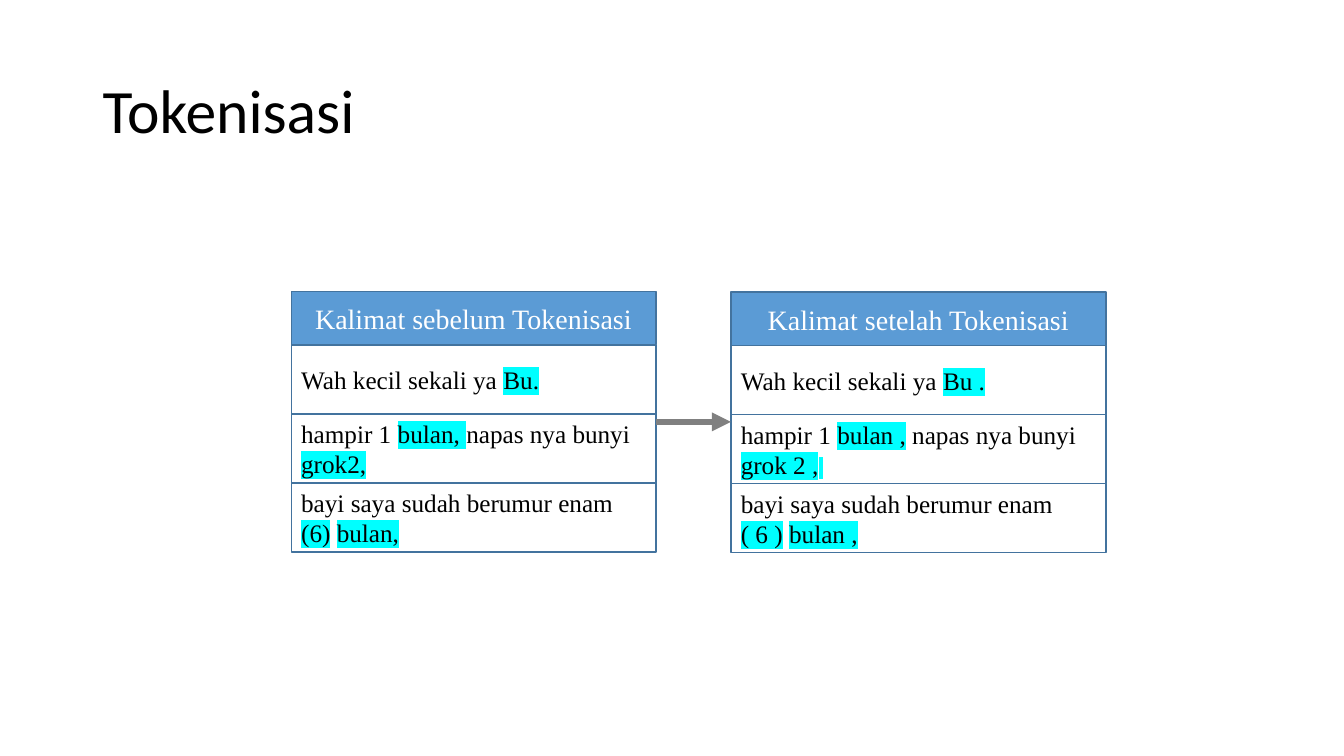
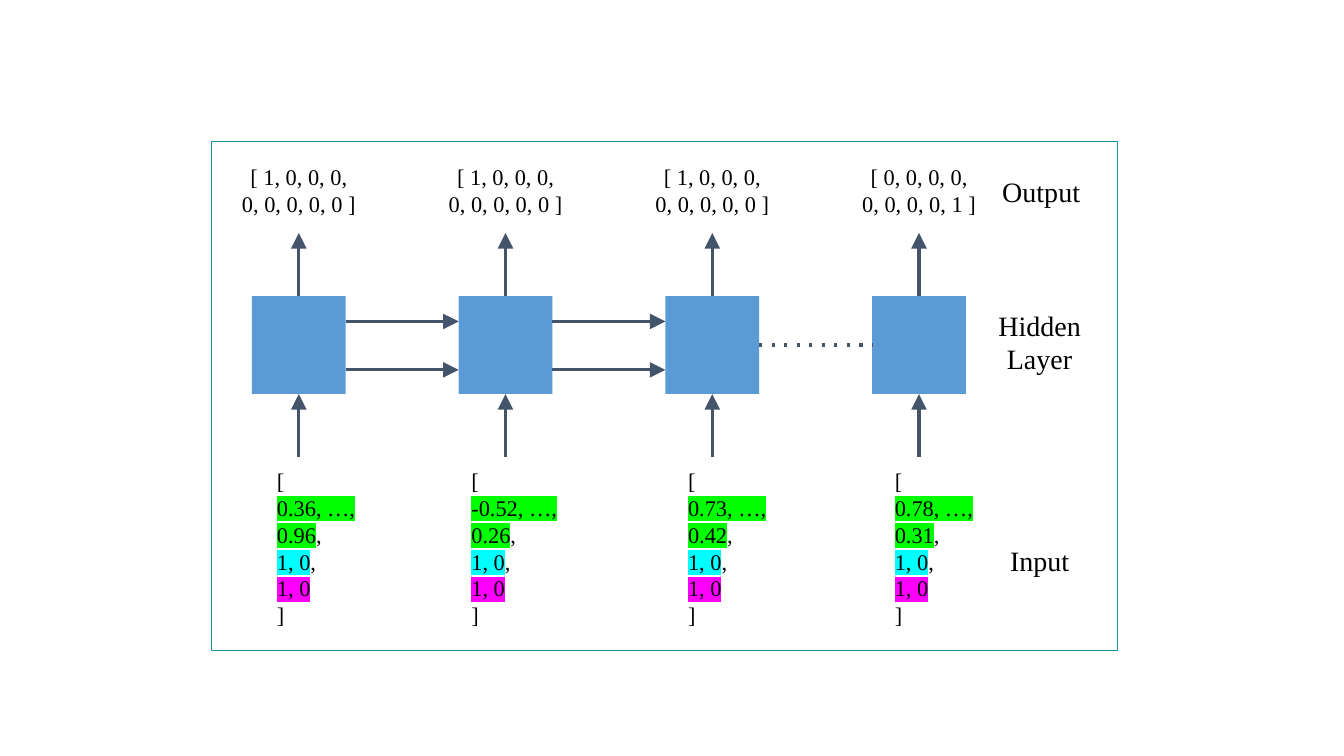
from lxml import etree
from pptx import Presentation
from pptx.dml.color import RGBColor
from pptx.enum.shapes import MSO_CONNECTOR, MSO_SHAPE
from pptx.enum.text import MSO_ANCHOR as ANCHOR, PP_ALIGN as ALIGN
from pptx.oxml.ns import qn
from pptx.util import Cm, Pt

BLACK = RGBColor(0x00, 0x00, 0x00)
WHITE = RGBColor(0xFF, 0xFF, 0xFF)
BLUE = RGBColor(0x5B, 0x9B, 0xD5)
BORDER = RGBColor(0x43, 0x73, 0x9E)
GRAY = RGBColor(0x80, 0x80, 0x80)
SLATE = RGBColor(0x44, 0x54, 0x6A)
TEAL = RGBColor(0x16, 0x95, 0xA4)
CYAN = RGBColor(0x00, 0xFF, 0xFF)
GREEN = RGBColor(0x00, 0xFF, 0x00)
MAGENTA = RGBColor(0xFF, 0x00, 0xFF)
SERIF = "Times New Roman"


def write(tf, paragraphs, size, align=ALIGN.LEFT, color=BLACK):
    """Fill a text frame; a run is (text, highlight or None[, size])."""
    tf.word_wrap = True
    for i, runs in enumerate(paragraphs):
        p = tf.paragraphs[0] if i == 0 else tf.add_paragraph()
        p.alignment = align
        for text, mark, *own_size in runs:
            r = p.add_run()
            r.text = text
            r.font.size = Pt(own_size[0] if own_size else size)
            r.font.color.rgb = color
            r.font.name = SERIF
            if mark is not None:
                hl = etree.Element(qn("a:highlight"))
                etree.SubElement(hl, qn("a:srgbClr"), val=str(mark))
                r.font._element.find(qn("a:solidFill")).addnext(hl)


def connect(s, x1, y1, x2, y2, color=SLATE, width=2.25, head="lg", dotted=False):
    """Draw a straight arrow, or a dotted line without a head."""
    c = s.shapes.add_connector(MSO_CONNECTOR.STRAIGHT, Cm(x1), Cm(y1), Cm(x2), Cm(y2))
    c.line.color.rgb = color
    c.line.width = Pt(width)
    ln = c.line._get_or_add_ln()
    if dotted:
        etree.SubElement(ln, qn("a:prstDash"), val="dot")
    else:
        etree.SubElement(ln, qn("a:tailEnd"), type="triangle", w=head, len=head)
    etree.SubElement(c._element.spPr, qn("a:effectLst"))
    return c


prs = Presentation()
prs.slide_width, prs.slide_height = Cm(33.87), Cm(19.05)

# Slide 1: title
s = prs.slides.add_slide(prs.slide_layouts[5])
title = s.shapes.title
title.left, title.top, title.width, title.height = Cm(2.33), Cm(1.01), Cm(29.21), Cm(3.68)
tf = title.text_frame
tf.vertical_anchor = ANCHOR.MIDDLE
p = tf.paragraphs[0]
p.alignment = ALIGN.LEFT
p.line_spacing = 0.9
r = p.add_run()
r.text = "Tokenisasi"
r.font.size = Pt(44)
r.font.name = "Calibri"
r.font.color.rgb = BLACK

# Slide 1: stacked boxes before and after tokenisation, as (left, top, width, rows)
HEAD_H, ROW_H = 1.35, 1.74
stacks = [
    (7.34, 7.34, 9.19, [
        [("Kalimat sebelum Tokenisasi", None)],
        [("Wah kecil sekali ya ", None), ("Bu.", CYAN)],
        [("hampir 1 ", None), ("bulan, ", CYAN), ("napas nya bunyi ", None), ("grok2,", CYAN)],
        [("bayi saya sudah berumur enam ", None), ("(6)", CYAN), (" ", None), ("bulan,", CYAN)],
    ]),
    (18.42, 7.36, 9.45, [
        [("Kalimat setelah Tokenisasi", None)],
        [("Wah kecil sekali ya ", None), ("Bu .", CYAN)],
        [("hampir 1 ", None), ("bulan ,", CYAN), (" napas nya bunyi ", None),
         ("grok 2 ,", CYAN), (" ", CYAN, 14)],
        [("bayi saya sudah berumur enam ", None), ("( 6 )", CYAN), (" ", None), ("bulan ,", CYAN)],
    ]),
]
for left, top, width, rows in stacks:
    for i, runs in enumerate(rows):
        height = ROW_H if i else HEAD_H
        sp = s.shapes.add_shape(MSO_SHAPE.RECTANGLE, Cm(left), Cm(top), Cm(width), Cm(height))
        sp.shadow.inherit = False
        sp.line.color.rgb = BORDER
        sp.line.width = Pt(1)
        tf = sp.text_frame
        tf.vertical_anchor = ANCHOR.MIDDLE
        if i == 0:
            sp.fill.solid()
            sp.fill.fore_color.rgb = BLUE
            write(tf, [runs], 20, ALIGN.CENTER, WHITE)
        else:
            sp.fill.background()
            write(tf, [runs], 18)
        top += height
connect(s, 16.53, 10.63, 18.42, 10.63, GRAY, 4.5, "med")

# Slide 2: frame
s = prs.slides.add_slide(prs.slide_layouts[6])
frame = s.shapes.add_shape(MSO_SHAPE.RECTANGLE, Cm(5.33), Cm(3.56), Cm(22.84), Cm(12.83))
frame.shadow.inherit = False
frame.fill.background()
frame.line.color.rgb = TEAL
frame.line.width = Pt(0.75)

# Slide 2: one column per time step, as (output, input vector, input left)
CELL_LEFT, CELL_TOP, CELL_W, CELL_H, STEP = 6.35, 7.46, 2.36, 2.47, 5.21
ARROW_H = 1.59
steps = [
    ("[ 1, 0, 0, 0, 0, 0, 0, 0, 0 ]", "0.36, …, 0.96", 6.73),
    ("[ 1, 0, 0, 0, 0, 0, 0, 0, 0 ]", "-0.52, …, 0.26", 11.63),
    ("[ 1, 0, 0, 0, 0, 0, 0, 0, 0 ]", "0.73, …, 0.42", 17.09),
    ("[ 0, 0, 0, 0, 0, 0, 0, 0, 1 ]", "0.78, …, 0.31", 22.3),
]
texts = []
cells = []
for i, (output, vector, input_left) in enumerate(steps):
    x = CELL_LEFT + i * STEP
    mid, bottom = x + CELL_W / 2, CELL_TOP + CELL_H
    sp = s.shapes.add_shape(MSO_SHAPE.RECTANGLE, Cm(x), Cm(CELL_TOP), Cm(CELL_W), Cm(CELL_H))
    sp.shadow.inherit = False
    sp.fill.solid()
    sp.fill.fore_color.rgb = BLUE
    sp.line.fill.background()
    cells.append(sp)
    connect(s, mid, CELL_TOP, mid, CELL_TOP - ARROW_H).begin_connect(sp, 0)
    connect(s, mid, bottom + ARROW_H, mid, bottom).end_connect(sp, 2)
    if i < 2:
        for y in (8.1, 9.32):
            connect(s, x + CELL_W, y, x + STEP, y)
    texts.append((mid - 1.71, 3.86, 3.42, 2.03, [[(output, None)]], 16, ALIGN.CENTER))
    texts.append((input_left, 11.52, 3.02 if i == 1 else 2.75, 4.6, [
        [("[", None)],
        [(vector, GREEN), (",", None)],
        [("1, 0", CYAN), (",", None)],
        [("1, 0", MAGENTA)],
        [("]", None)],
    ], 16, ALIGN.LEFT))

# Slide 2: dotted link over the skipped steps
middle = CELL_TOP + CELL_H / 2
link = connect(s, CELL_LEFT + 2 * STEP + CELL_W, middle, CELL_LEFT + 3 * STEP, middle, dotted=True)
link.begin_connect(cells[2], 3)
link.end_connect(cells[3], 1)

# Slide 2: vectors and layer names
for label, left, top, height in (
    ("Output", 24.82, 4.14, 1.4),
    ("Hidden Layer", 24.78, 7.52, 2.16),
    ("Input", 24.78, 13.44, 1.4),
):
    texts.append((left, top, 2.84, height, [[(label, None)]], 20, ALIGN.CENTER))
for left, top, width, height, paragraphs, size, align in texts:
    tf = s.shapes.add_textbox(Cm(left), Cm(top), Cm(width), Cm(height)).text_frame
    tf.margin_left = tf.margin_right = tf.margin_top = tf.margin_bottom = Cm(0.25)
    write(tf, paragraphs, size, align)

prs.save("out.pptx")
